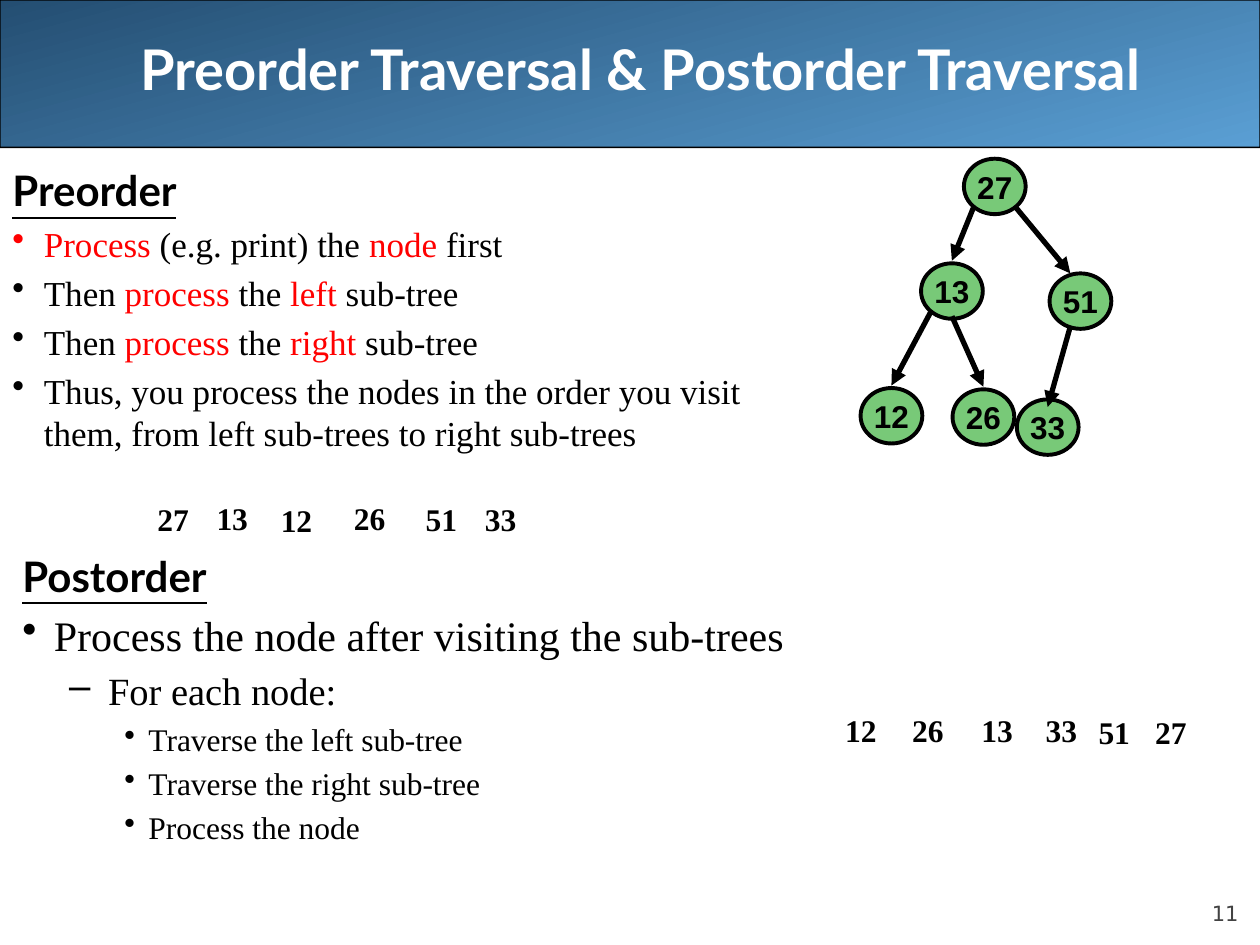
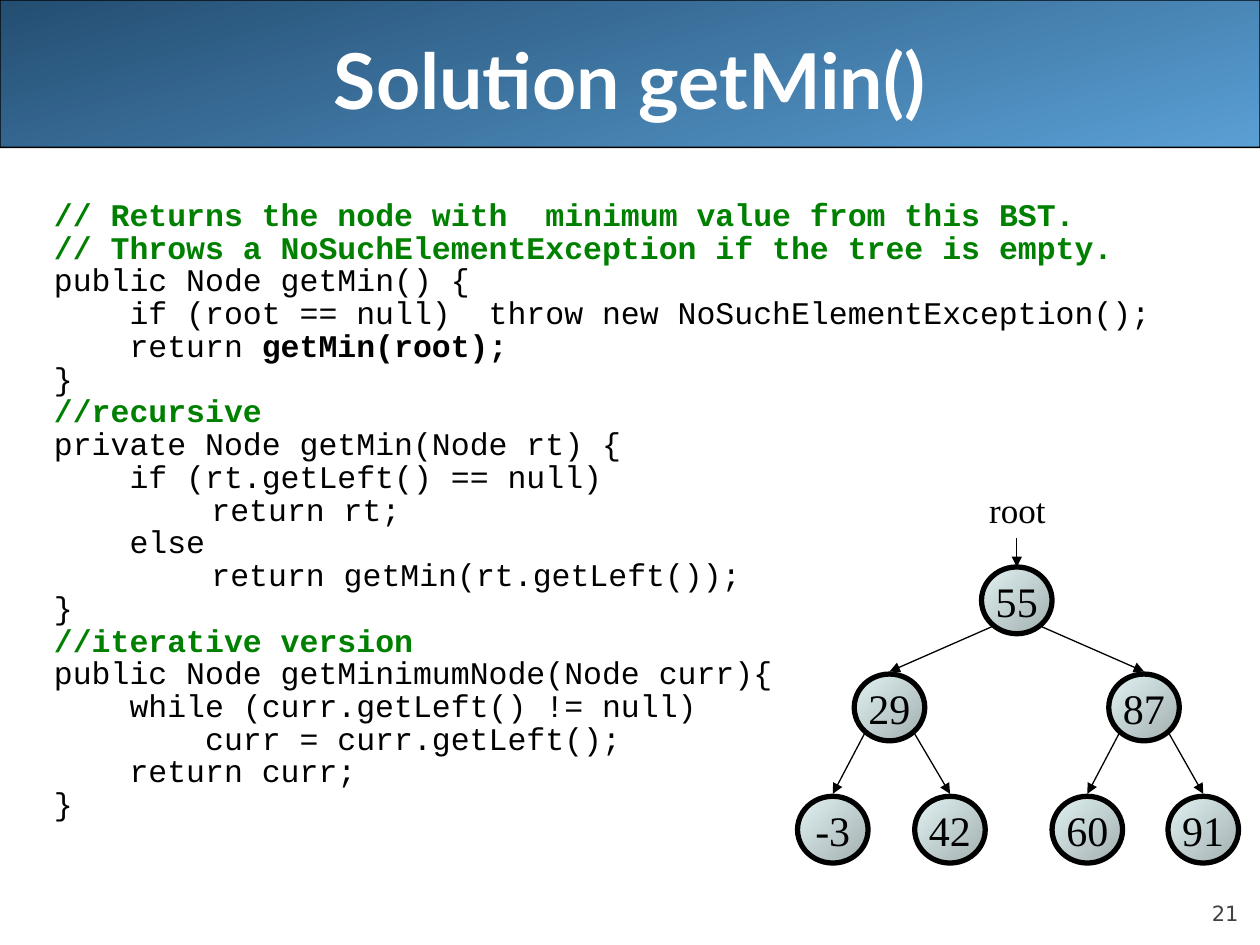
from lxml import etree
from pptx import Presentation
from pptx.dml.color import RGBColor
from pptx.enum.shapes import MSO_CONNECTOR, MSO_SHAPE
from pptx.enum.text import MSO_ANCHOR, MSO_AUTO_SIZE, PP_ALIGN
from pptx.oxml.ns import qn
from pptx.util import Inches, Pt

LINE = MSO_CONNECTOR.STRAIGHT
BAND, OVAL, JOINT = (MSO_SHAPE.ROUNDED_RECTANGLE, MSO_SHAPE.OVAL,
                     MSO_SHAPE.FLOWCHART_CONNECTOR)
MIDDLE, BOTTOM = MSO_ANCHOR.MIDDLE, MSO_ANCHOR.BOTTOM
CENTER, RIGHT = PP_ALIGN.CENTER, PP_ALIGN.RIGHT
GROW = MSO_AUTO_SIZE.SHAPE_TO_FIT_TEXT

BLACK = RGBColor(0x00, 0x00, 0x00)
WHITE = RGBColor(0xFF, 0xFF, 0xFF)
RED = RGBColor(0xFF, 0x00, 0x00)
GREEN = RGBColor(0x00, 0x80, 0x00)
LEAF = RGBColor(0x00, 0x99, 0x00)
GREY = RGBColor(0x42, 0x42, 0x42)
NAVY, SKY = RGBColor(0x24, 0x4E, 0x72), RGBColor(0x5A, 0x9F, 0xD4)
PALE, STONE = RGBColor(0xE1, 0xF2, 0xF3), RGBColor(0xA2, 0xAF, 0xAF)
HEAD, BODY, MONO, SANS, FOOT = ("Lato", "Times New Roman", "Courier New",
                                "Arial", "DejaVu Sans")
WIDE, HIGH = 10, 7.5

# Content: text between bars is stressed
# Outline rows: level, size, text (level None is a heading)
PRE = [
    (None, 24, "Preorder"),
    (0, 20, "|Process| (e.g. print) the |node| first"),
    (0, 20, "Then |process| the |left| sub-tree"),
    (0, 20, "Then |process| the |right| sub-tree"),
    (0, 20, "Thus, you process the nodes in the order you visit them, "
            "from left sub-trees to right sub-trees"),
]
POST = [
    (None, 24, "Postorder"),
    (0, 24, "Process the node after visiting the sub-trees"),
    (1, 22, "For each node:"),
    (2, 18, "Traverse the left sub-tree"),
    (2, 18, "Traverse the right sub-tree"),
    (2, 18, "Process the node"),
]
# Bullet, left margin and hanging indent by level
LEVELS = [("•", 0.25, -0.25), ("–", 0.68, -0.31), ("•", 1, -0.19)]

# Visit orders: label, left, top
VISITS = [
    ("27", 1.15, 3.92), ("13", 1.62, 3.91), ("12", 2.13, 3.93),
    ("26", 2.71, 3.91), ("51", 3.28, 3.92), ("33", 3.75, 3.92),
    ("12", 6.61, 5.59), ("26", 7.14, 5.59), ("13", 7.69, 5.59),
    ("33", 8.2, 5.59), ("51", 8.62, 5.61), ("27", 9.07, 5.61),
]

# Trees: nodes give left and top; edges give the start, from the parent's
# centre, and the end, from the child's top centre
ORDERS = {
    "size": (0.49, 0.44), "shape": JOINT, "rim": 2.25, "font": (SANS, 18, True),
    "arrow": 3,
    "nodes": {"27": (7.65, 1.26), "13": (7.31, 2.09), "51": (8.33, 2.17),
              "33": (8.07, 3.17), "26": (7.56, 3.09), "12": (6.83, 3.08)},
    "edges": [("27", "13", (-0.17, 0.17), (0, -0.02)),
              ("27", "51", (0.17, 0.17), (-0.08, 0)),
              ("51", "33", (-0.08, 0.2), (0, 0.06)),
              ("13", "26", (0, 0.2), (0, -0.02)),
              ("13", "12", (-0.17, 0.17), (0, -0.02))],
}
LEFT, WAY, TIP = (-0.2, 0.21), (0.2, 0.21), (0, -0.02)
SEARCH = {
    "size": (0.56, 0.53), "shape": OVAL, "rim": 3, "font": (BODY, 24, False),
    "arrow": 0.75,
    "nodes": {"55": (7.79, 4.5), "29": (6.78, 5.35), "87": (8.8, 5.35),
              "-3": (6.33, 6.32), "42": (7.26, 6.32),
              "60": (8.35, 6.32), "91": (9.27, 6.32)},
    "edges": [("55", "29", LEFT, TIP), ("55", "87", WAY, TIP),
              ("29", "-3", LEFT, TIP), ("29", "42", WAY, TIP),
              ("87", "60", LEFT, TIP), ("87", "91", WAY, TIP)],
}

# Code rows: indent, text
CODE = [
    (0, "// Returns the node with  minimum value from this BST."),
    (0, "// Throws a NoSuchElementException if the tree is empty."),
    (0, "public Node getMin() {"),
    (0.6, "if (root == null)  throw new NoSuchElementException();"),
    (0.6, "return |getMin(root);"),
    (0, "}"),
    (0, "//recursive"),
    (0, "private Node getMin(Node rt) {"),
    (0.6, "if (rt.getLeft() == null)"),
    (1.25, "return rt;"),
    (0.6, "else"),
    (1.25, "return getMin(rt.getLeft());"),
    (0, "}"),
    (0, "//iterative version"),
    (0, "public Node getMinimumNode(Node curr){"),
    (0.6, "while (curr.getLeft() != null)"),
    (1.2, "curr = curr.getLeft();"),
    (0.6, "return curr;"),
    (0, "}"),
]


# Text
def say(para, text, face, size, color=BLACK, bold=False):
    run = para.add_run()
    run.text = text
    font = run.font
    font.name, font.size, font.bold = face, Pt(size), bold
    font.color.rgb = color
    return font


def box(slide, left, top, wide, high, wrap=True):
    frame = slide.shapes.add_textbox(*map(Inches, (left, top, wide, high))).text_frame
    frame.word_wrap = wrap
    if not wrap:
        frame.auto_size = GROW
    return frame


def rows(frame, items):
    """Yield a paragraph for each item, spaced by a fifth of its line."""
    for i, item in enumerate(items):
        para = frame.add_paragraph() if i else frame.paragraphs[0]
        gap = etree.SubElement(para._p.get_or_add_pPr(), qn("a:spcBef"))
        etree.SubElement(gap, qn("a:spcPct"), val="20000")
        yield para, item


def inset(para, left, hang=0):
    props = para._p.get_or_add_pPr()
    props.set("marL", str(Inches(left)))
    props.set("indent", str(Inches(hang)))
    return props


def outline(slide, place, items):
    for para, (level, size, text) in rows(box(slide, *place), items):
        if level is None:
            say(para, text, HEAD, size, bold=True).underline = True
            continue
        mark, left, hang = LEVELS[level]
        para.level = level
        etree.SubElement(inset(para, left, hang), qn("a:buChar"), char=mark)
        for i, part in enumerate(text.split("|")):
            if part:
                say(para, part, BODY, size, RED if i % 2 else BLACK)


def listing(slide, place, items):
    for para, (left, text) in rows(box(slide, *place), items):
        inset(para, left)
        para.line_spacing = 0.7
        note = text.startswith("//")
        for i, part in enumerate(text.split("|")):
            say(para, part, MONO, 18, GREEN if note else BLACK, note or i == 1)


# Shapes
def blend(fill, first, last, angle):
    fill.gradient()
    fill.gradient_angle = 360 - angle
    for stop, color in zip(fill.gradient_stops, (first, last)):
        stop.color.rgb = color


def form(slide, kind, place, rim):
    shape = slide.shapes.add_shape(kind, *map(Inches, place))
    shape.shadow.inherit = False
    shape.line.color.rgb, shape.line.width = BLACK, Pt(rim)
    return shape


def arrow(slide, start, end, width):
    link = slide.shapes.add_connector(LINE, *map(Inches, (*start, *end)))
    link.line.color.rgb, link.line.width = BLACK, Pt(width)
    etree.SubElement(link.line._get_or_add_ln(), qn("a:tailEnd"), type="triangle")
    etree.SubElement(link._element.spPr, qn("a:effectLst"))


def tree(slide, plan):
    wide, high = plan["size"]
    face, size, bold = plan["font"]
    nodes = plan["nodes"]
    for label, (left, top) in nodes.items():
        node = form(slide, plan["shape"], (left, top, wide, high), plan["rim"])
        if plan["shape"] == JOINT:
            node.fill.solid()
            node.fill.fore_color.rgb = LEAF
            tint = node._element.spPr.find(".//" + qn("a:srgbClr"))
            etree.SubElement(tint, qn("a:alpha"), val="53000")
        else:
            blend(node.fill, PALE, STONE, 45)
        frame = node.text_frame
        frame.word_wrap, frame.vertical_anchor = False, MIDDLE
        para = frame.paragraphs[0]
        para.alignment = CENTER
        say(para, label, face, size, bold=bold)
    for up, down, (sx, sy), (ex, ey) in plan["edges"]:
        (ux, uy), (dx, dy) = nodes[up], nodes[down]
        arrow(slide, (ux + wide / 2 + sx, uy + high / 2 + sy),
              (dx + wide / 2 + ex, dy + ey), plan["arrow"])


# Shared frame: band, title and page number
def page(deck, title, size, place, number):
    slide = deck.slides.add_slide(deck.slide_layouts[5])
    band = form(slide, BAND, (0, 0, WIDE, 1.17), 0.75)
    band.adjustments[0] = 0.001
    blend(band.fill, NAVY, SKY, 75)
    slide.shapes._spTree.insert(2, band._element)

    head = slide.shapes.title
    head.left, head.top, head.width, head.height = map(Inches, place)
    head.text_frame.vertical_anchor = MIDDLE
    para = head.text_frame.paragraphs[0]
    para.alignment = CENTER
    say(para, title, HEAD, size, WHITE, True)

    foot = box(slide, 9, 6.95, 0.83, 0.4)
    foot.margin_left = foot.margin_right = foot.margin_top = foot.margin_bottom = 0
    foot.vertical_anchor = BOTTOM
    para = foot.paragraphs[0]
    para.alignment, para.space_before = RIGHT, Pt(5)
    say(para, number, FOOT, 12, GREY)
    return slide


def main():
    deck = Presentation()
    deck.slide_width, deck.slide_height = Inches(WIDE), Inches(HIGH)

    # Traversal orders
    slide = page(deck, "Preorder Traversal & Postorder Traversal", 32,
                 (0.25, 0, 9.67, 1.08), "11")
    outline(slide, (0, 1.26, 6.5, 2.35), PRE)
    tree(slide, ORDERS)
    outline(slide, (0.08, 4.32, 6.5, 1.65), POST)
    for label, left, top in VISITS:
        frame = box(slide, left, top, 0.45, 0.4, wrap=False)
        say(frame.paragraphs[0], label, BODY, 18, bold=True)

    # Smallest value of a search tree
    slide = page(deck, "Solution getMin()", 44, (0.5, 0, 9, 1.25), "21")
    tree(slide, SEARCH)
    para = box(slide, 7.75, 3.83, 0.65, 0.44, wrap=False).paragraphs[0]
    para.alignment = CENTER
    say(para, "root", BODY, 20)
    arrow(slide, (8.07, 4.27), (8.07, 4.5), SEARCH["arrow"])
    listing(slide, (0.33, 1.58, 9.17, 5.27), CODE)

    deck.save("out.pptx")


if __name__ == "__main__":
    main()
